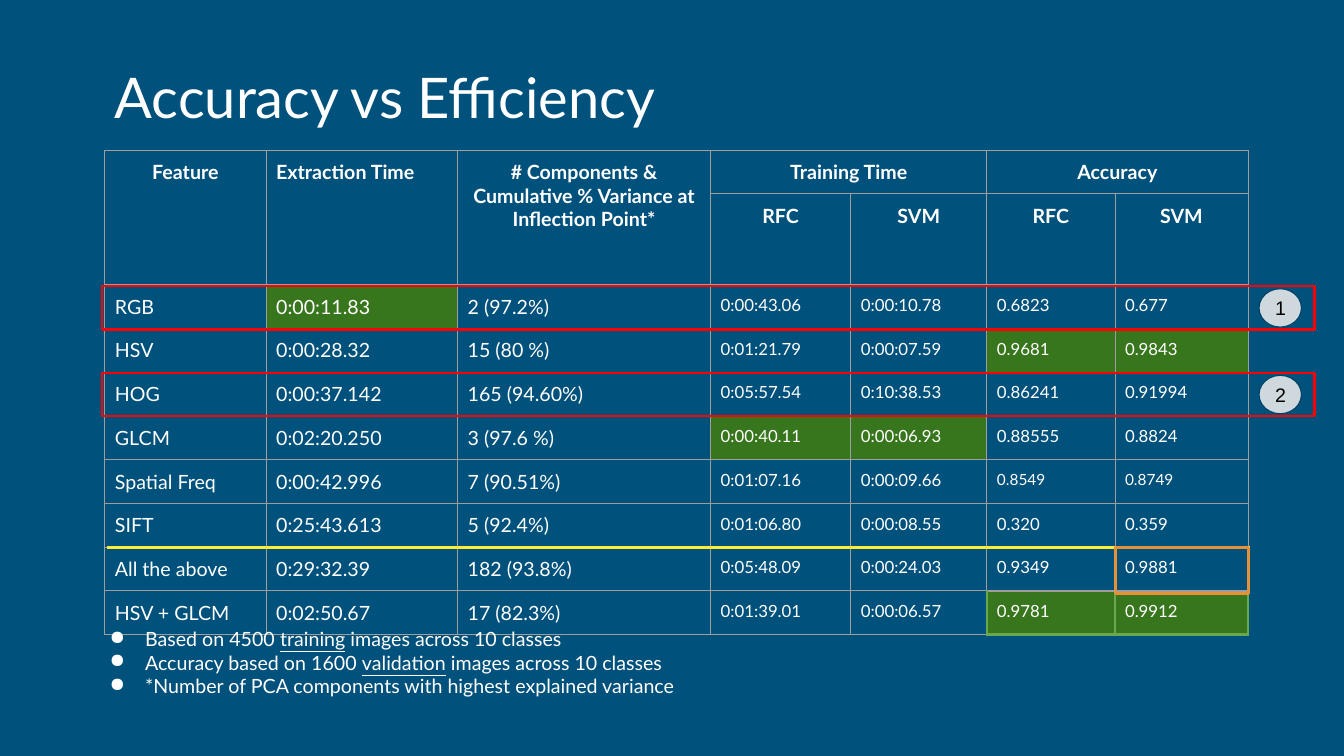
"""Build the slide that weighs accuracy against efficiency."""
import typing
from dataclasses import dataclass

import lxml.etree
import pptx
import pptx.dml.color
import pptx.enum.shapes
import pptx.enum.text
import pptx.oxml.ns
import pptx.util

HUES = {"back": "00517C", "white": "FFFFFF", "grid": "9E9E9E", "best": "38761D",
        "edge": "6AA84F", "red": "FF0000", "badge": "CFD8DC", "rim": "004065",
        "black": "000000", "rule": "FFEB38", "box": "E69138"}
WIDE, TALL = pptx.util.Inches(13.33), pptx.util.Inches(7.5)
INSET = pptx.util.Inches(0.1)
PADS = {f"margin_{side}": INSET for side in ("left", "top", "right", "bottom")}
FORMS = pptx.enum.shapes.MSO_SHAPE
ALIGN = pptx.enum.text.PP_ALIGN
MIDDLE = pptx.enum.text.MSO_ANCHOR.MIDDLE
NS = pptx.oxml.ns.qn

COLS = (12, 14.25, 18.83, 10.43, 10.13, 9.53, 9.9)
ROW, STEP = 5.6, 5.73
HEADS = 2
DATA = (
    ("Feature", "Extraction Time",
     "# Components & Cumulative % Variance at Inflection Point*",
     "Training Time", "", "Accuracy", ""),
    ("", "", "", "RFC", "SVM", "RFC", "SVM"),
    ("RGB", "0:00:11.83", "2 (97.2%)", "0:00:43.06", "0:00:10.78", "0.6823", "0.677"),
    ("HSV", "0:00:28.32", "15 (80 %)", "0:01:21.79", "0:00:07.59", "0.9681", "0.9843"),
    ("HOG", "0:00:37.142", "165 (94.60%)", "0:05:57.54", "0:10:38.53", "0.86241", "0.91994"),
    ("GLCM", "0:02:20.250", "3 (97.6 %)", "0:00:40.11", "0:00:06.93", "0.88555", "0.8824"),
    ("Spatial Freq", "0:00:42.996", "7 (90.51%)", "0:01:07.16", "0:00:09.66", "0.8549", "0.8749"),
    ("SIFT", "0:25:43.613", "5 (92.4%)", "0:01:06.80", "0:00:08.55", "0.320", "0.359"),
    ("All the above", "0:29:32.39", "182 (93.8%)", "0:05:48.09", "0:00:24.03", "0.9349", "0.9881"),
    ("HSV + GLCM", "0:02:50.67", "17 (82.3%)", "0:01:39.01", "0:00:06.57", "0.9781", "0.9912"),
)
SPANS = ((0, 0, 1, 0), (0, 1, 1, 1), (0, 2, 1, 2), (0, 3, 0, 4), (0, 5, 0, 6))
BEST = {(2, 1), (3, 5), (3, 6), (5, 3), (5, 4), (9, 5), (9, 6)}
SMALL = {(6, 5), (6, 6)}
THICK = {side: ("edge", 2.25) for side in "LRB"} | {"T": ("grid", 2.25)}
EDGES = {(8, 5): {"B": ("grid", 2.25)}, (8, 6): {"B": ("grid", 2.25)},
         (9, 4): {"R": ("edge", 2.25)}, (9, 5): THICK, (9, 6): THICK}
NOTES = (
    ("Based on 4500 ", "training", " images across 10 classes"),
    ("Accuracy based on 1600 ", "validation", " images across 10 classes"),
    ("*Number of PCA components with highest explained variance",),
)


@dataclass
class Area:
    """Hold a place and size in percent of the slide."""
    left: float
    top: float
    width: float
    height: float

    def frame(self) -> tuple:
        return across(self.left), down(self.top), across(self.width), down(self.height)


@dataclass
class Mark:
    """Hold one drawn shape."""
    area: Area
    form: typing.Any
    line: str
    weight: float
    fill: str = ""
    text: str = ""


def across(share: float) -> int:
    return round(WIDE * share / 100)


def down(share: float) -> int:
    return round(TALL * share / 100)


def shade(name: str) -> pptx.dml.color.RGBColor:
    return pptx.dml.color.RGBColor.from_string(HUES[name])


def dress(item: typing.Any, values: dict) -> None:
    for name, value in values.items():
        setattr(item, name, value)


def paint(fill: typing.Any, hue: str) -> None:
    if hue:
        fill.solid()
        fill.fore_color.rgb = shade(hue)
    else:
        fill.background()


def write(para: typing.Any, text: str, size: float, hue: str = "white",
          face: str = "Lato", **extra: bool) -> None:
    run = para.add_run()
    run.text = text
    dress(run.font, {"name": face, "size": pptx.util.Pt(size), **extra})
    run.font.color.rgb = shade(hue)


def border(cell: typing.Any, edges: dict) -> None:
    props = cell._tc.get_or_add_tcPr()
    for side in "LRTB":
        hue, weight = edges.get(side, ("grid", 0.75))
        line = lxml.etree.SubElement(props, NS(f"a:ln{side}"), w=str(pptx.util.Pt(weight)))
        solid = lxml.etree.SubElement(line, NS("a:solidFill"))
        lxml.etree.SubElement(solid, NS("a:srgbClr"), val=HUES[hue])


def bullet(para: typing.Any) -> None:
    props = para._p.get_or_add_pPr()
    props.set("marL", str(pptx.util.Inches(0.5)))
    props.set("indent", str(pptx.util.Inches(-0.35)))
    tint = lxml.etree.SubElement(props, NS("a:buClr"))
    lxml.etree.SubElement(tint, NS("a:srgbClr"), val=HUES["white"])
    lxml.etree.SubElement(props, NS("a:buChar"), char="●")


def add_title(slide: typing.Any) -> None:
    frame = slide.shapes.add_textbox(*Area(7.8, 8, 86.25, 10.67).frame()).text_frame
    dress(frame, {"word_wrap": True, "vertical_anchor": MIDDLE})
    frame.paragraphs[0].line_spacing = 0.9
    write(frame.paragraphs[0], "Accuracy vs Efficiency", 40)


def add_cell(cell: typing.Any, row: int, col: int) -> None:
    dress(cell, PADS)
    border(cell, EDGES.get((row, col), {}))
    paint(cell.fill, "best" if (row, col) in BEST else "")
    head = row < HEADS
    size = 11 if (row, col) in SMALL else 14 if head or col < 3 else 12
    para = cell.text_frame.paragraphs[0]
    para.alignment = ALIGN.CENTER if head and col != 1 else ALIGN.LEFT
    write(para, DATA[row][col], size, bold=head)


def add_grid(slide: typing.Any) -> None:
    area = Area(7.8, 19.87, sum(COLS), ROW * len(DATA))
    table = slide.shapes.add_table(len(DATA), len(COLS), *area.frame()).table
    dress(table, {"first_row": False, "horz_banding": False})
    for col, share in zip(table.columns, COLS):
        col.width = across(share)
    for row, line in enumerate(table.rows):
        line.height = down(ROW)
        for col, cell in enumerate(line.cells):
            add_cell(cell, row, col)
    for top, left, base, right in SPANS:
        table.cell(top, left).merge(table.cell(base, right))


def add_notes(slide: typing.Any) -> None:
    frame = slide.shapes.add_textbox(*Area(6.3, 81.6, 65.93, 12.13).frame()).text_frame
    dress(frame, {"word_wrap": True, **PADS})
    for rank, parts in enumerate(NOTES):
        para = frame.add_paragraph() if rank else frame.paragraphs[0]
        bullet(para)
        for place, part in enumerate(parts):
            write(para, part, 14, underline=place == 1)


def add_mark(slide: typing.Any, mark: Mark) -> None:
    shape = slide.shapes.add_shape(mark.form, *mark.area.frame())
    shape.shadow.inherit = False
    paint(shape.fill, mark.fill)
    shape.line.color.rgb = shade(mark.line)
    shape.line.width = pptx.util.Pt(mark.weight)
    if mark.text:
        frame = shape.text_frame
        dress(frame, {"vertical_anchor": MIDDLE, "word_wrap": True, **PADS})
        frame.paragraphs[0].alignment = ALIGN.CENTER
        write(frame.paragraphs[0], mark.text, 14, "black", "Arial")


def add_rule(slide: typing.Any, left: float, right: float, top: float) -> None:
    rule = slide.shapes.add_connector(
        pptx.enum.shapes.MSO_CONNECTOR.STRAIGHT,
        across(left), down(top), across(right), down(top))
    rule.line.color.rgb = shade("rule")
    rule.line.width = pptx.util.Pt(2.25)
    lxml.etree.SubElement(rule._element.spPr, NS("a:effectLst"))


def main() -> None:
    deck = pptx.Presentation()
    dress(deck, {"slide_width": WIDE, "slide_height": TALL})
    slide = deck.slides.add_slide(deck.slide_layouts[6])
    paint(slide.background.fill, "back")
    add_title(slide)
    add_grid(slide)
    add_notes(slide)
    for rank in range(2):
        top = 37.87 + 2 * STEP * rank
        add_mark(slide, Mark(Area(7.58, top, 90.23, STEP), FORMS.RECTANGLE, "red", 1.5))
        add_mark(slide, Mark(Area(93.68, top + 0.33, 3.15, 5.07), FORMS.OVAL,
                             "rim", 0.75, "badge", str(rank + 1)))
    add_rule(slide, 7.95, 93, 72.4)
    add_mark(slide, Mark(Area(83.03, 72.4, 9.9, 6.13), FORMS.RECTANGLE, "box", 2.25))
    deck.save("out.pptx")


if __name__ == "__main__":
    main()
